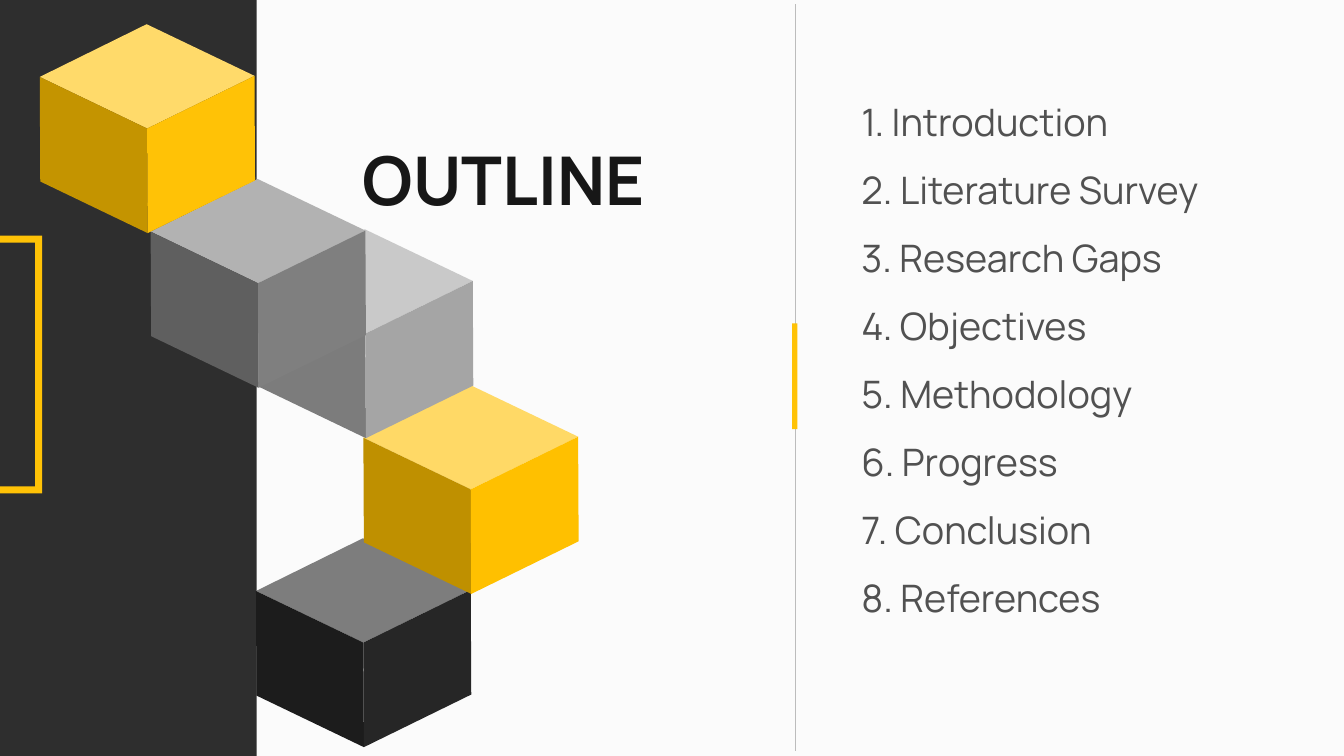
from dataclasses import dataclass

from lxml import etree
from pptx import Presentation
from pptx.dml.color import RGBColor
from pptx.enum.shapes import MSO_CONNECTOR, MSO_SHAPE
from pptx.enum.text import MSO_ANCHOR, MSO_AUTO_SIZE, PP_ALIGN
from pptx.oxml.ns import qn
from pptx.util import Pt

STRAIGHT = MSO_CONNECTOR.STRAIGHT
RECTANGLE = MSO_SHAPE.RECTANGLE
FRAME = MSO_SHAPE.FRAME
GROW = MSO_AUTO_SIZE.SHAPE_TO_FIT_TEXT
TOP = MSO_ANCHOR.TOP
LEFT = PP_ALIGN.LEFT

Point = tuple[float, float]


@dataclass(frozen=True)
class Theme:
    font: str = "Manrope"
    title_size: float = 96
    item_size: float = 54
    item_spacing: float = 1.5
    background: str = "FBFBFB"
    panel: str = "2E2E2E"
    accent: str = "FFC206"
    rule: str = "BCBCBC"
    title: str = "171717"
    item: str = "515151"


@dataclass(frozen=True)
class Cube:
    corner: Point  # the corner where all three visible faces meet
    lid: str
    left: str
    right: str


@dataclass(frozen=True)
class Area:
    left: float
    top: float
    width: float
    height: float

    def lengths(self) -> tuple:
        return Pt(self.left), Pt(self.top), Pt(self.width), Pt(self.height)


THEME = Theme()

# Edges of every cube, measured from its front corner
BACK: Point = (-0.72, -149)
LEFT_EDGE: Point = (-153.4, -73.7)
RIGHT_EDGE: Point = (153.4, -75.2)
DROP: Point = (0.72, 149.4)

# From back to front
CUBES = [
    Cube((519.1, 918), "7D7D7D", "1C1C1C", "262626"),
    Cube((672.5, 699.1), "FFD966", "BF9000", "FFC000"),
    Cube((522, 476.6), "C9C9C9", "7C7C7C", "A5A5A5"),
    Cube((368.6, 404.6), "B2B2B2", "5F5F5F", "7F7F7F"),
    Cube((210.2, 183.6), "FFDA6A", "C49400", "FFC206"),
]

ITEMS = ["Introduction", "Literature Survey", "Research Gaps", "Objectives",
         "Methodology", "Progress", "Conclusion", "References"]


def shift(point: Point, offset: Point) -> Point:
    return point[0] + offset[0], point[1] + offset[1]


def paint(shape, color: str) -> None:
    shape.shadow.inherit = False
    shape.fill.solid()
    shape.fill.fore_color.rgb = RGBColor.from_string(color)
    shape.line.fill.background()


def add_block(shapes, kind, area: Area, color: str):
    block = shapes.add_shape(kind, *area.lengths())
    paint(block, color)
    return block


def add_face(shapes, points: list[Point], color: str) -> None:
    start, *others = [(Pt(x), Pt(y)) for x, y in points]
    builder = shapes.build_freeform(*start)
    builder.add_line_segments(others, close=True)
    paint(builder.convert_to_shape(), color)


def add_cube(shapes, cube: Cube) -> None:
    corner = cube.corner
    left, right = shift(corner, LEFT_EDGE), shift(corner, RIGHT_EDGE)
    bottom = shift(corner, DROP)
    add_face(shapes, [shift(corner, BACK), left, corner, right], cube.lid)
    add_face(shapes, [bottom, shift(left, DROP), left, corner], cube.left)
    add_face(shapes, [bottom, shift(right, DROP), right, corner], cube.right)


def add_rule(shapes, x: float, top: float, bottom: float) -> None:
    rule = shapes.add_connector(STRAIGHT, Pt(x), Pt(top), Pt(x), Pt(bottom))
    rule.line.color.rgb = RGBColor.from_string(THEME.rule)
    rule.line.width = Pt(0.5)
    etree.SubElement(rule._element.spPr, qn("a:effectLst"))


def write_lines(box, area: Area, lines: list[str], size: float, color: str,
                bold: bool = False, spacing: float = 1.0) -> None:
    box.left, box.top, box.width, box.height = area.lengths()
    frame = box.text_frame
    frame.margin_left = frame.margin_right = Pt(0)
    frame.margin_top = frame.margin_bottom = Pt(0)
    frame.word_wrap = True
    frame.auto_size = GROW
    frame.vertical_anchor = TOP
    for index, line in enumerate(lines):
        para = frame.add_paragraph() if index else frame.paragraphs[0]
        para.alignment = LEFT
        para.line_spacing = spacing
        para.space_before = Pt(0)
        span = para.add_run()
        span.text = line
        span.font.name = THEME.font
        span.font.size = Pt(size)
        span.font.bold = bold
        span.font.color.rgb = RGBColor.from_string(color)


def main() -> None:
    deck = Presentation()
    deck.slide_width, deck.slide_height = Pt(1920), Pt(1080)
    page = deck.slides.add_slide(deck.slide_layouts[5])
    page.background.fill.solid()
    page.background.fill.fore_color.rgb = RGBColor.from_string(THEME.background)
    shapes = page.shapes

    # Dark side panel with its accent frame
    add_block(shapes, RECTANGLE, Area(-12, -6.5, 378.5, 1119), THEME.panel)
    frame = add_block(shapes, FRAME, Area(-111, 336.5, 171.3, 368.5), THEME.accent)
    frame.adjustments[0] = 0.06

    # Title and numbered outline
    write_lines(shapes.title, Area(518.5, 198, 466.5, 116.6), ["OUTLINE"],
                THEME.title_size, THEME.title, bold=True)
    list_area = Area(1230.5, 108.7, 620.6, 785.5)
    numbered = [f"{number}. {item}" for number, item in enumerate(ITEMS, 1)]
    write_lines(shapes.add_textbox(*list_area.lengths()), list_area, numbered,
                THEME.item_size, THEME.item, spacing=THEME.item_spacing)

    # Divider with its accent bar
    divider = shapes.add_group_shape().shapes
    add_rule(divider, 1135.4, 5.8, 1073.5)
    add_block(divider, RECTANGLE, Area(1131.8, 462, 7.2, 151.2), THEME.accent)

    # Staircase of cubes
    staircase = shapes.add_group_shape().shapes
    for cube in CUBES:
        add_cube(staircase, cube)

    deck.save("out.pptx")


if __name__ == "__main__":
    main()
